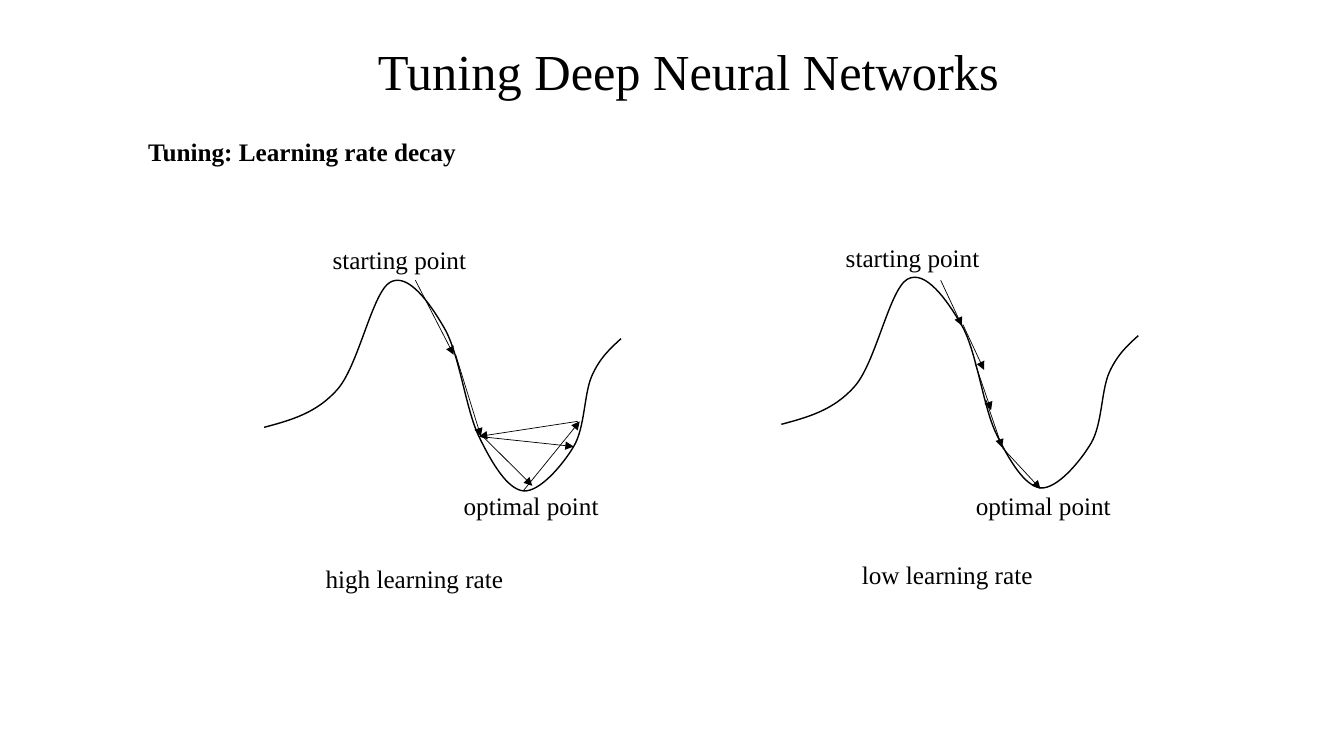
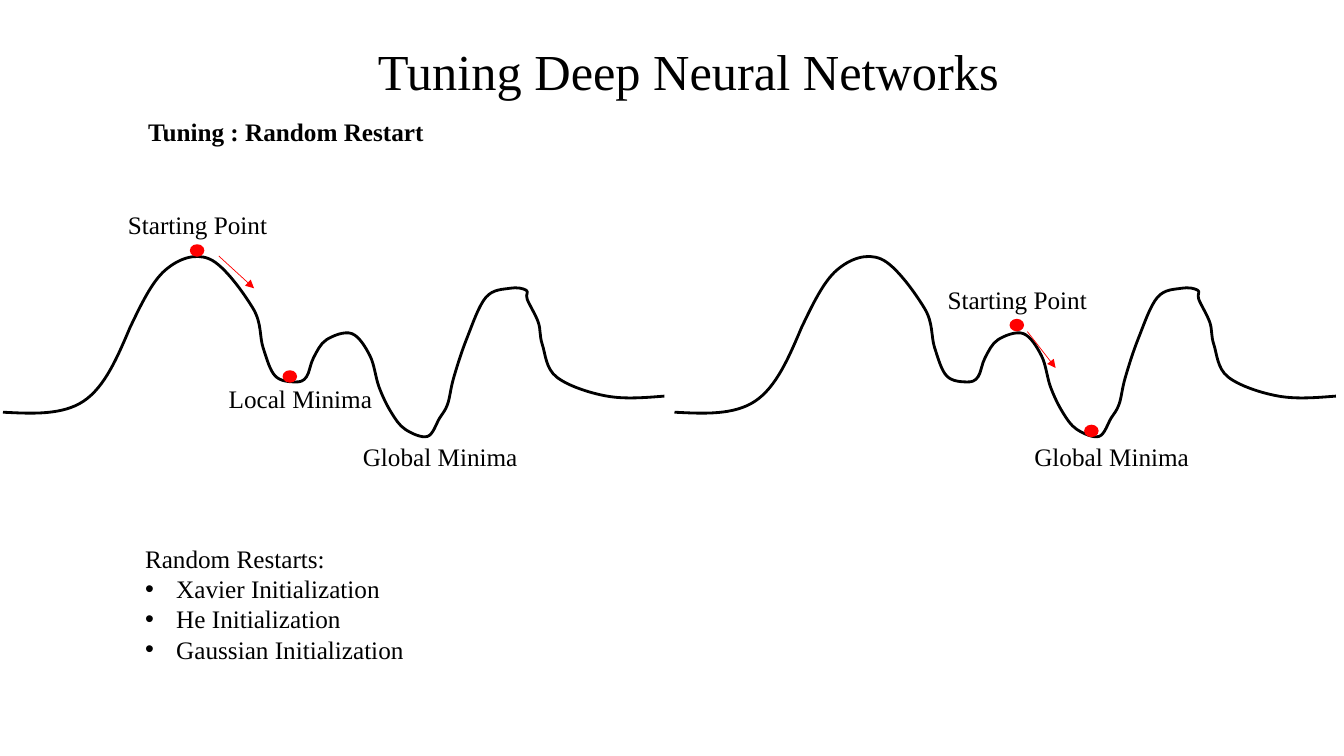
from lxml import etree
from pptx import Presentation
from pptx.dml.color import RGBColor
from pptx.enum.shapes import MSO_CONNECTOR, MSO_SHAPE
from pptx.enum.text import MSO_ANCHOR
from pptx.oxml.ns import qn
from pptx.util import Inches, Pt

STRAIGHT = MSO_CONNECTOR.STRAIGHT
OVAL = MSO_SHAPE.OVAL
MIDDLE = MSO_ANCHOR.MIDDLE
TOP = MSO_ANCHOR.TOP

COLORS = {"ink": "000000", "marker": "FF0000"}
FONT = "Times New Roman"
TITLE = "Tuning Deep Neural Networks"
LABEL_HEIGHT = 0.4
DOT_SIZE = (0.13, 0.11)
BULLET_INDENT = 0.31

VALLEY = [[(2.62, 4.24), (3.35, 3.86), (3.87, 2.8), (4.41, 3.26), (4.75, 4.33),
           (5.19, 4.87), (5.69, 4.43), (5.87, 3.73), (6.16, 3.36)]]
LANDSCAPE = [
    [(0.03, 4.09), (0.83, 3.98), (1.29, 3.25)],
    [(1.29, 3.25), (1.64, 2.68), (2.08, 2.57), (2.51, 3.06), (2.61, 3.45),
     (2.73, 3.73), (2.93, 3.79), (3.04, 3.74), (3.11, 3.55), (3.24, 3.37),
     (3.49, 3.31), (3.67, 3.53), (3.76, 3.84), (3.88, 4.09), (4.02, 4.26),
     (4.24, 4.33), (4.36, 4.15), (4.44, 4.01), (4.5, 3.75), (4.63, 3.36),
     (4.82, 2.95), (5.06, 2.86), (5.22, 2.88), (5.23, 2.97), (5.34, 3.2),
     (5.38, 3.42), (5.52, 3.74), (6.02, 3.93), (6.59, 3.93)],
]

SLIDES = [
    {
        "heading": ("Tuning: Learning rate decay", 1.37, 1.3, 3.29),
        "curve": VALLEY,
        "curve_width": 1,
        "offsets": [(0, 0), (5.13, -0.03)],
        "labels": [
            ("starting point", 3.2, 2.37, 1.54),
            ("starting point", 8.29, 2.35, 1.54),
            ("optimal point", 4.5, 4.82, 1.56),
            ("optimal point", 9.58, 4.82, 1.56),
            ("high learning rate", 3.13, 5.54, 1.98),
            ("low learning rate", 8.45, 5.5, 1.91),
        ],
        "dots": [],
        "arrow_color": "ink",
        "arrows": [
            ((4.12, 2.78), (4.5, 3.52)),
            ((4.52, 3.52), (4.77, 4.33)),
            ((4.79, 4.33), (5.28, 4.82)),
            ((5.19, 4.87), (5.75, 4.18)),
            ((5.73, 4.18), (4.75, 4.33)),
            ((4.75, 4.33), (5.69, 4.43)),
            ((9.33, 2.78), (9.54, 3.23)),
            ((9.55, 3.22), (9.76, 3.67)),
            ((9.67, 3.6), (9.83, 4.07)),
            ((9.78, 3.97), (9.94, 4.44)),
            ((9.94, 4.44), (10.32, 4.85)),
        ],
    },
    {
        "heading": ("Tuning : Random Restart", 1.37, 1.11, 2.96),
        "curve": LANDSCAPE,
        "curve_width": 2,
        "offsets": [(0, 0), (6.66, 0)],
        "labels": [
            ("Starting Point", 1.17, 2.03, 1.6),
            ("Global Minima", 3.5, 4.33, 1.75),
            ("Local Minima", 2.17, 3.75, 1.64),
            ("Starting Point", 9.3, 2.77, 1.6),
            ("Global Minima", 10.16, 4.33, 1.75),
        ],
        "dots": [(1.89, 2.43), (2.81, 3.68), (10.02, 3.17), (10.76, 4.22)],
        "arrow_color": "marker",
        "arrows": [((2.17, 2.54), (2.52, 2.86)), ((10.19, 3.29), (10.47, 3.65))],
        "list": ("Random Restarts:", ["Xavier Initialization", "He Initialization",
                                      "Gaussian Initialization"]),
    },
]


def rgb(name):
    return RGBColor.from_string(COLORS[name])


def style_line(line, color, width):
    line.color.rgb = rgb(color)
    line.width = Pt(width)


def add_bullet(paragraph):
    properties = paragraph._p.get_or_add_pPr()
    properties.set("marL", str(Inches(BULLET_INDENT)))
    properties.set("indent", str(-Inches(BULLET_INDENT)))
    etree.SubElement(properties, qn("a:buFont")).set("typeface", "Arial")
    etree.SubElement(properties, qn("a:buChar")).set("char", "•")


def add_text(slide, text, left, top, width, height=LABEL_HEIGHT, size=18, bold=False,
             anchor=TOP, wrap=False, spacing=None, bullets=()):
    box = slide.shapes.add_textbox(Inches(left), Inches(top), Inches(width), Inches(height))
    frame = box.text_frame
    frame.word_wrap = wrap
    frame.vertical_anchor = anchor
    for index, content in enumerate([text, *bullets]):
        paragraph = frame.add_paragraph() if index else frame.paragraphs[0]
        if index:
            add_bullet(paragraph)
        if spacing:
            paragraph.line_spacing = spacing
        run = paragraph.add_run()
        run.text = content
        run.font.name = FONT
        run.font.size = Pt(size)
        run.font.bold = bold
        run.font.color.rgb = rgb("ink")


def midpoint(first, second):
    return tuple((a + b) / 2 for a, b in zip(first, second))


def smooth_segments(knots):
    last = len(knots) - 1
    slopes = [tuple((b - a) / 6 for a, b in zip(knots[max(i - 1, 0)], knots[min(i + 1, last)]))
              for i in range(last + 1)]
    for i in range(last):
        start, end = knots[i], knots[i + 1]
        leaving = tuple(p + s for p, s in zip(start, slopes[i]))
        arriving = tuple(p - s for p, s in zip(end, slopes[i + 1]))
        if i == 0:
            leaving = midpoint(start, arriving)
        if i == last - 1:
            arriving = midpoint(leaving, end)
        yield leaving, arriving, end


def add_curve(slide, runs, offset, width):
    runs = [[(x + offset[0], y + offset[1]) for x, y in knots] for knots in runs]
    segments = [segment for knots in runs for segment in smooth_segments(knots)]
    start_x, start_y = runs[0][0]
    builder = slide.shapes.build_freeform(Inches(start_x), Inches(start_y))
    builder.add_line_segments([(Inches(x), Inches(y)) for _, _, (x, y) in segments], close=False)
    shape = builder.convert_to_shape()
    shape.shadow.inherit = False
    shape.fill.background()
    style_line(shape.line, "ink", width)
    straight_parts = list(shape._element.iter(qn("a:lnTo")))
    for straight, points in zip(straight_parts, segments):
        curve = etree.Element(qn("a:cubicBezTo"))
        for x, y in points:
            point = etree.SubElement(curve, qn("a:pt"))
            point.set("x", str(Inches(x) - shape.left))
            point.set("y", str(Inches(y) - shape.top))
        straight.getparent().replace(straight, curve)


def add_dot(slide, left, top):
    dot = slide.shapes.add_shape(OVAL, Inches(left), Inches(top), *map(Inches, DOT_SIZE))
    dot.shadow.inherit = False
    dot.fill.solid()
    dot.fill.fore_color.rgb = rgb("marker")
    style_line(dot.line, "marker", 1)


def add_arrow(slide, start, end, color):
    arrow = slide.shapes.add_connector(STRAIGHT, *map(Inches, start + end))
    style_line(arrow.line, color, 0.5)
    etree.SubElement(arrow.line._get_or_add_ln(), qn("a:tailEnd")).set("type", "triangle")
    etree.SubElement(arrow._element.spPr, qn("a:effectLst"))


def build_slide(presentation, content):
    slide = presentation.slides.add_slide(presentation.slide_layouts[6])
    add_text(slide, TITLE, 3.65, 0.32, 6.39, 0.83, size=36, anchor=MIDDLE, wrap=True, spacing=0.9)
    add_text(slide, *content["heading"], bold=True)
    for offset in content["offsets"]:
        add_curve(slide, content["curve"], offset, content["curve_width"])
    for label in content["labels"]:
        add_text(slide, *label)
    for dot in content["dots"]:
        add_dot(slide, *dot)
    for start, end in content["arrows"]:
        add_arrow(slide, start, end, content["arrow_color"])
    if "list" in content:
        heading, items = content["list"]
        add_text(slide, heading, 1.34, 5.34, 2.8, 1.31, bullets=items)


def main():
    presentation = Presentation()
    presentation.slide_width = Inches(13.33)
    presentation.slide_height = Inches(7.5)
    for content in SLIDES:
        build_slide(presentation, content)
    presentation.save("out.pptx")


if __name__ == "__main__":
    main()
